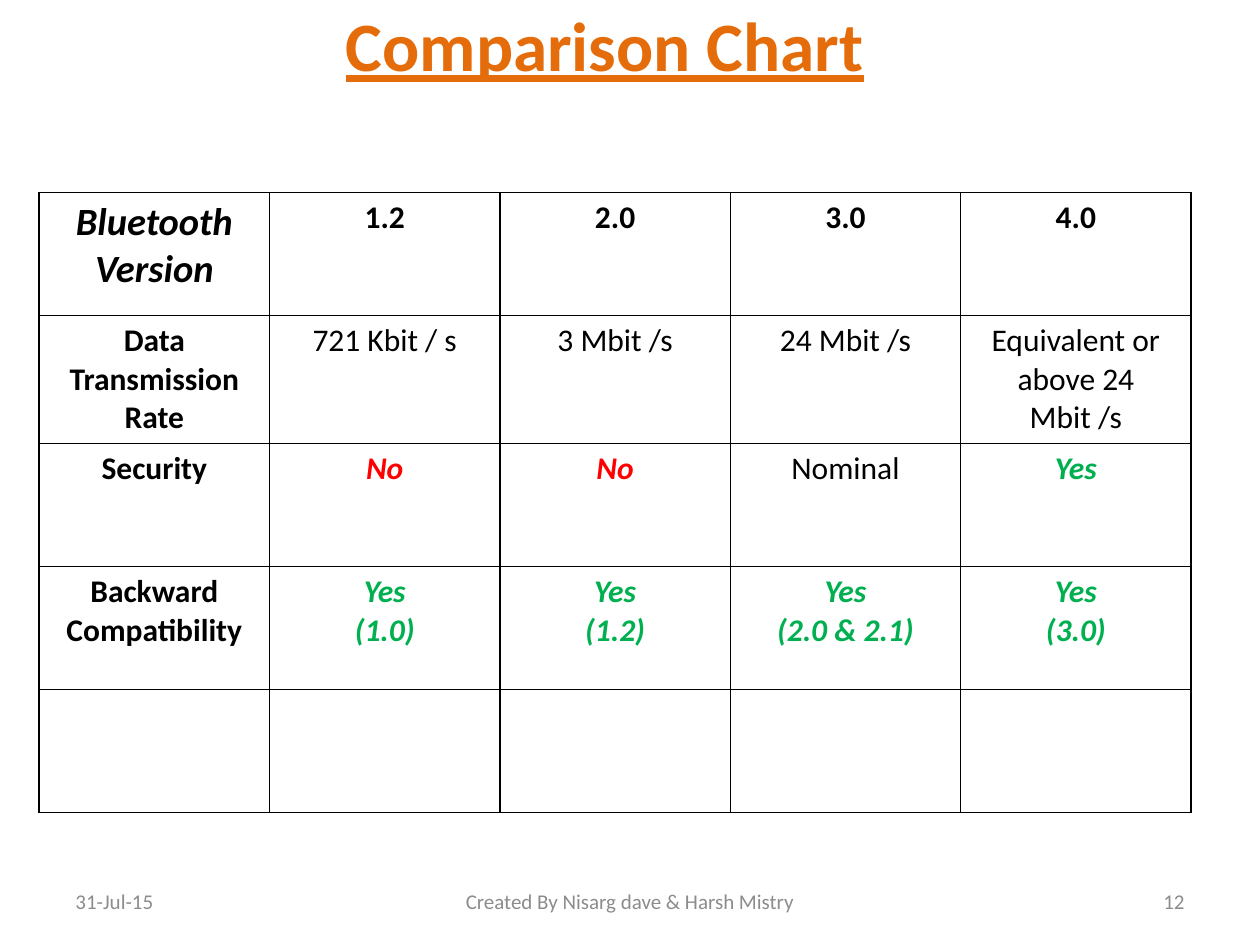
"""Builds the slide that compares Bluetooth versions in a table."""
from dataclasses import dataclass

import pptx
import pptx.dml.color
import pptx.enum.text
import pptx.oxml
import pptx.oxml.ns
import pptx.util

Pt = pptx.util.Pt
Align = pptx.enum.text.PP_ALIGN
Anchor = pptx.enum.text.MSO_ANCHOR


@dataclass(frozen=True)
class Theme:
    font: str = "Calibri"
    title: str = "E46C0A"
    body: str = "000000"
    footer: str = "8C8C8C"
    no: str = "FF0000"
    yes: str = "00B050"
    title_size: float = 39.6
    corner_size: float = 22
    body_size: float = 18
    footer_size: float = 12
    border: float = 1


THEME = Theme()


@dataclass(frozen=True)
class Style:
    size: float = THEME.body_size
    color: str = THEME.body
    bold: bool = False
    italic: bool = False
    underline: bool = False
    align: Align = Align.CENTER


@dataclass(frozen=True)
class Entry:
    text: str
    style: Style = Style()


@dataclass(frozen=True)
class FooterPart:
    text: str
    left: float
    width: float
    align: Align


PLAIN = Style()
HEADING = Style(bold=True)
CORNER = Style(size=THEME.corner_size, bold=True, italic=True)
NO = Style(color=THEME.no, bold=True, italic=True)
YES = Style(color=THEME.yes, bold=True, italic=True)
TITLE = Style(size=THEME.title_size, color=THEME.title, bold=True, underline=True)

COMPARISON = [
    [Entry("Bluetooth Version", CORNER)]
    + [Entry(version, HEADING) for version in ("1.2", "2.0", "3.0", "4.0")],
    [Entry("Data Transmission Rate", HEADING)]
    + [Entry(rate) for rate in ("721 Kbit / s", "3 Mbit /s", "24 Mbit /s",
                                "Equivalent or above 24 Mbit /s")],
    [Entry("Security", HEADING), Entry("No", NO), Entry("No", NO),
     Entry("Nominal"), Entry("Yes", YES)],
    [Entry("Backward Compatibility", HEADING)]
    + [Entry(f"Yes\n({older})", YES) for older in ("1.0", "1.2", "2.0 & 2.1", "3.0")],
    [Entry("")] * 5,
]

FOOTER = [
    FooterPart("31-Jul-15", 36, 168, Align.LEFT),
    FooterPart("Created By Nisarg dave & Harsh Mistry", 246, 228, Align.CENTER),
    FooterPart("12", 516, 168, Align.RIGHT),
]


def write(frame, text: str, style: Style) -> None:
    """Fill a text frame with styled paragraphs."""
    frame.text = text
    frame.word_wrap = True
    for paragraph in frame.paragraphs:
        paragraph.alignment = style.align
        font = paragraph.font
        font.name = THEME.font
        font.size = Pt(style.size)
        font.bold = style.bold
        font.italic = style.italic
        font.underline = style.underline
        font.color.rgb = pptx.dml.color.RGBColor.from_string(style.color)


def add_borders(cell) -> None:
    """Draw a thin line on all four sides of a cell."""
    properties = cell._tc.get_or_add_tcPr()
    for side in ("lnL", "lnR", "lnT", "lnB"):
        properties.append(pptx.oxml.parse_xml(
            f'<a:{side} {pptx.oxml.ns.nsdecls("a")} w="{Pt(THEME.border)}">'
            f'<a:solidFill><a:srgbClr val="{THEME.body}"/></a:solidFill></a:{side}>'))


def add_title(slide) -> None:
    """Place and format the slide title."""
    title = slide.shapes.title
    title.left, title.top, title.width, title.height = Pt(39.6), Pt(0), Pt(612), Pt(50.4)
    write(title.text_frame, "Comparison Chart", TITLE)
    title.text_frame.auto_size = pptx.enum.text.MSO_AUTO_SIZE.NONE
    title.text_frame.vertical_anchor = Anchor.MIDDLE


def add_comparison(slide, column_width: float = 131.65, row_height: float = 70.3) -> None:
    """Add the comparison table."""
    rows, columns = len(COMPARISON), len(COMPARISON[0])
    table = slide.shapes.add_table(
        rows, columns, Pt(22.4), Pt(110),
        Pt(columns * column_width), Pt(rows * row_height)).table
    table.first_row = table.horz_banding = False
    for row, entries in enumerate(COMPARISON):
        for column, entry in enumerate(entries):
            cell = table.cell(row, column)
            write(cell.text_frame, entry.text, entry.style)
            add_borders(cell)
            cell.fill.background()


def add_footer(slide) -> None:
    """Add the date, credit and page number."""
    for part in FOOTER:
        box = slide.shapes.add_textbox(Pt(part.left), Pt(500.5), Pt(part.width), Pt(28.75))
        write(box.text_frame, part.text,
              Style(size=THEME.footer_size, color=THEME.footer, align=part.align))
        box.text_frame.vertical_anchor = Anchor.MIDDLE


def main() -> None:
    """Build and save the presentation."""
    deck = pptx.Presentation()
    deck.slide_width, deck.slide_height = Pt(720), Pt(540)
    slide = deck.slides.add_slide(deck.slide_layouts.get_by_name("Title Only"))
    add_title(slide)
    add_comparison(slide)
    add_footer(slide)
    deck.save("out.pptx")


main()
